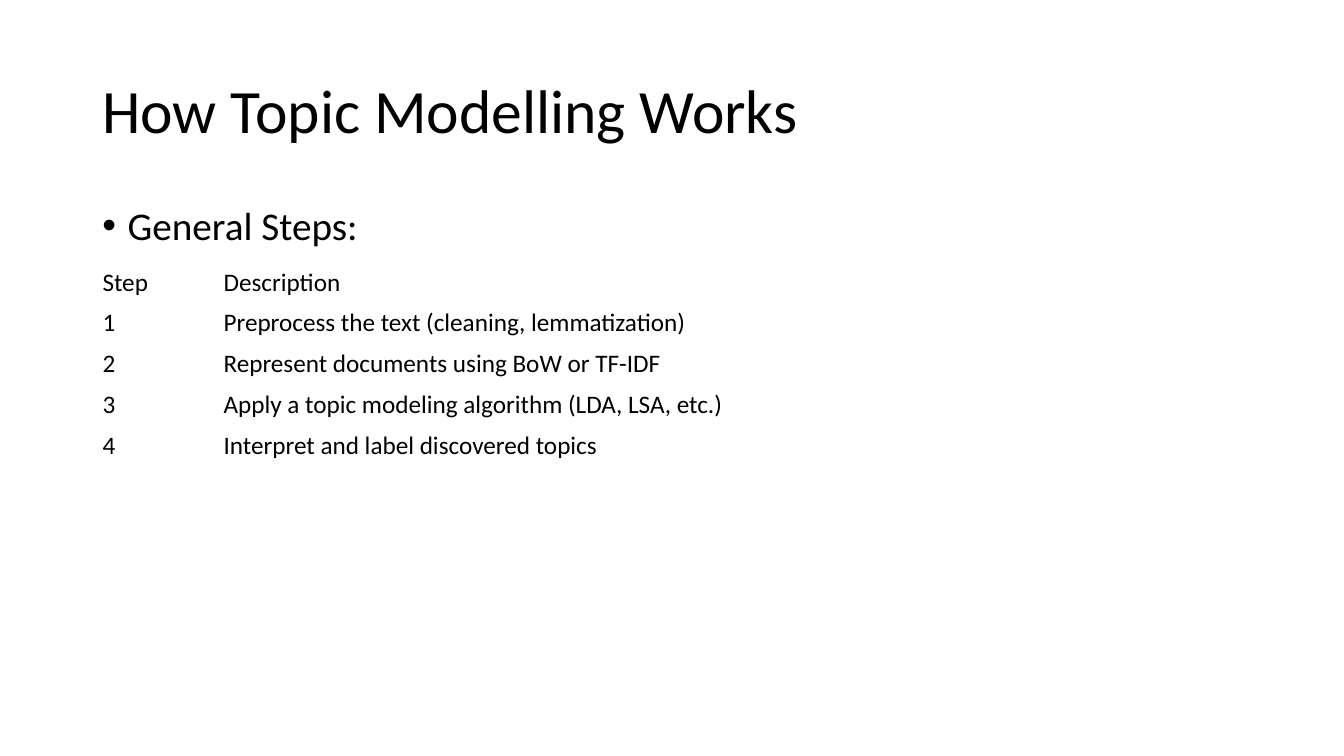
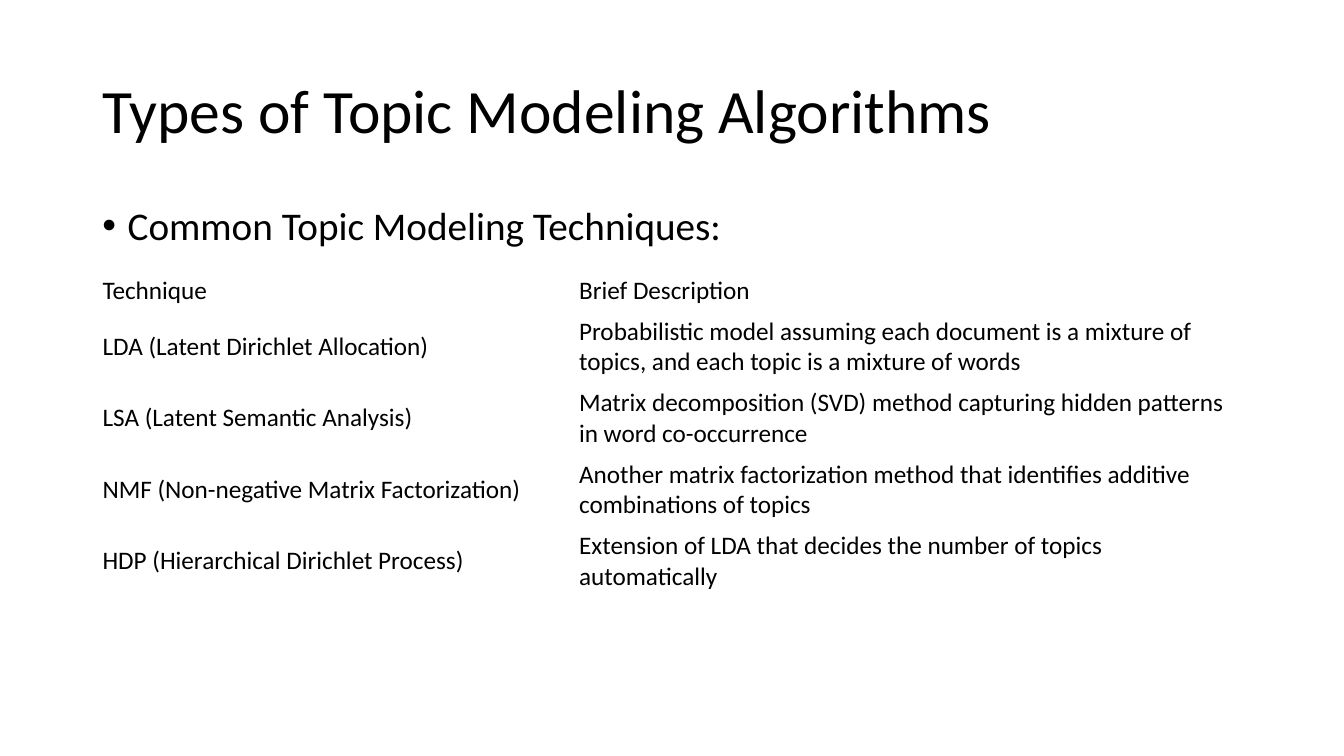
import pptx
import pptx.dml.color
import pptx.enum.text
import pptx.oxml.ns
import pptx.util
from lxml import etree

Cm = pptx.util.Cm
Pt = pptx.util.Pt
MIDDLE = pptx.enum.text.MSO_ANCHOR.MIDDLE
TOP = pptx.enum.text.MSO_ANCHOR.TOP

SLIDES = [
    {
        "title": "How Topic Modelling Works",
        "lead": "General Steps:",
        "table_top": 6.6,
        "columns": (3.05, 14.88),
        "body_row_height": 1.03,
        "rows": [
            ("Step", "Description"),
            ("1", "Preprocess the text (cleaning, lemmatization)"),
            ("2", "Represent documents using BoW or TF-IDF"),
            ("3", "Apply a topic modeling algorithm (LDA, LSA, etc.)"),
            ("4", "Interpret and label discovered topics"),
        ],
    },
    {
        "title": "Types of Topic Modeling Algorithms",
        "lead": "Common Topic Modeling Techniques:",
        "table_top": 6.81,
        "columns": (12.01, 17.2),
        "body_row_height": 1.8,
        "rows": [
            ("Technique", "Brief Description"),
            ("LDA (Latent Dirichlet Allocation)",
             "Probabilistic model assuming each document is a mixture of topics, "
             "and each topic is a mixture of words"),
            ("LSA (Latent Semantic Analysis)",
             "Matrix decomposition (SVD) method capturing hidden patterns in word co-occurrence"),
            ("NMF (Non-negative Matrix Factorization)",
             "Another matrix factorization method that identifies additive combinations of topics"),
            ("HDP (Hierarchical Dirichlet Process)",
             "Extension of LDA that decides the number of topics automatically"),
        ],
    },
]

BLACK = pptx.dml.color.RGBColor(0, 0, 0)
FONT = "Calibri"
LEFT = 2.33
WIDTH = 29.21
HEADER_HEIGHT = 1.03
BULLET_INDENT = Cm(0.64)


def add_span(para, text, size):
    span = para.add_run()
    span.text = text
    span.font.name = FONT
    span.font.size = Pt(size)
    span.font.color.rgb = BLACK


def add_text(page, text, top, height, size, anchor):
    box = page.shapes.add_textbox(Cm(LEFT), Cm(top), Cm(WIDTH), Cm(height))
    frame = box.text_frame
    frame.word_wrap = True
    frame.vertical_anchor = anchor
    para = frame.paragraphs[0]
    para.line_spacing = 0.9
    add_span(para, text, size)
    return para


def add_bullet(para):
    para.space_before = Pt(10)
    properties = para._p.get_or_add_pPr()
    properties.set("marL", str(BULLET_INDENT))
    properties.set("indent", str(-BULLET_INDENT))
    qn = pptx.oxml.ns.qn
    etree.SubElement(properties, qn("a:buFont")).set("typeface", "Arial")
    etree.SubElement(properties, qn("a:buChar")).set("char", "•")


def add_grid(page, content):
    rows, columns = content["rows"], content["columns"]
    heights = [HEADER_HEIGHT] + [content["body_row_height"]] * (len(rows) - 1)
    table = page.shapes.add_table(
        len(rows), len(columns), Cm(LEFT), Cm(content["table_top"]),
        Cm(sum(columns)), Cm(sum(heights))).table
    table.first_row = False
    table.horz_banding = False
    for column, width in zip(table.columns, columns):
        column.width = Cm(width)
    for row, height, texts in zip(table.rows, heights, rows):
        row.height = Cm(height)
        for cell, text in zip(row.cells, texts):
            cell.fill.background()
            cell.vertical_anchor = MIDDLE
            add_span(cell.text_frame.paragraphs[0], text, 18)


def main():
    deck = pptx.Presentation()
    deck.slide_width = Cm(33.87)
    deck.slide_height = Cm(19.05)
    for content in SLIDES:
        page = deck.slides.add_slide(deck.slide_layouts[6])
        add_text(page, content["title"], 1.01, 3.68, 44, MIDDLE)
        add_bullet(add_text(page, content["lead"], 5.07, 12.09, 28, TOP))
        add_grid(page, content)
    deck.save("out.pptx")


if __name__ == "__main__":
    main()
